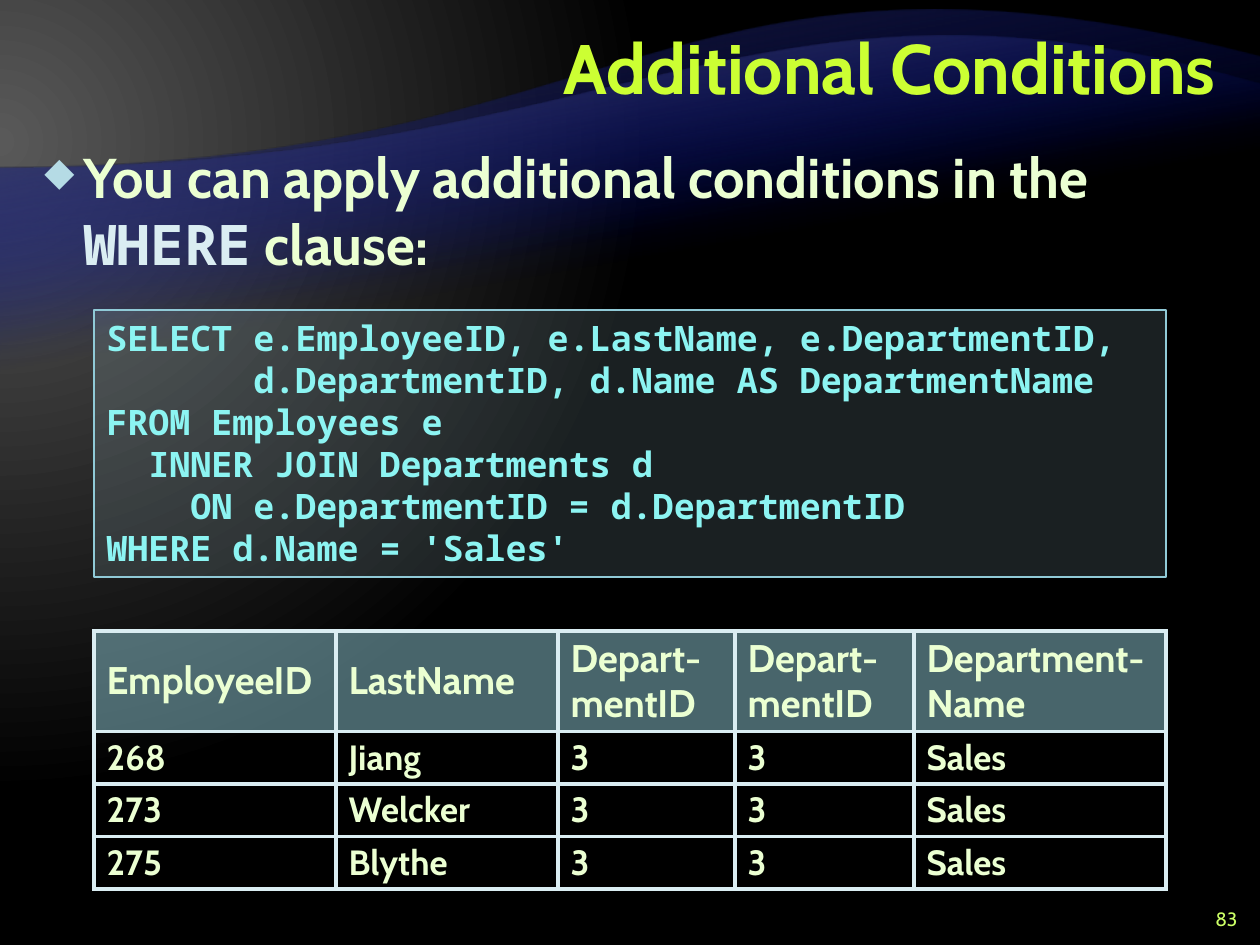
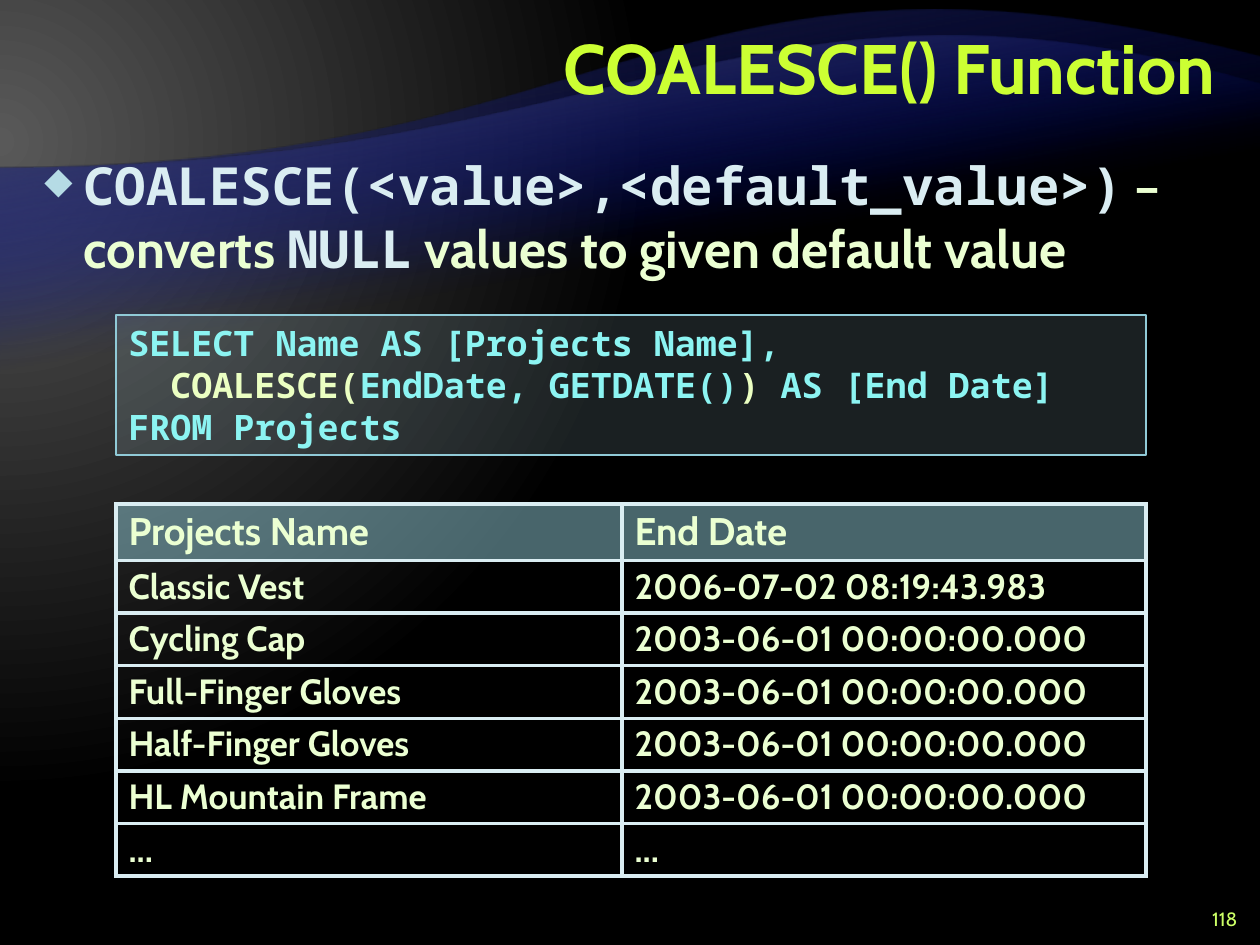
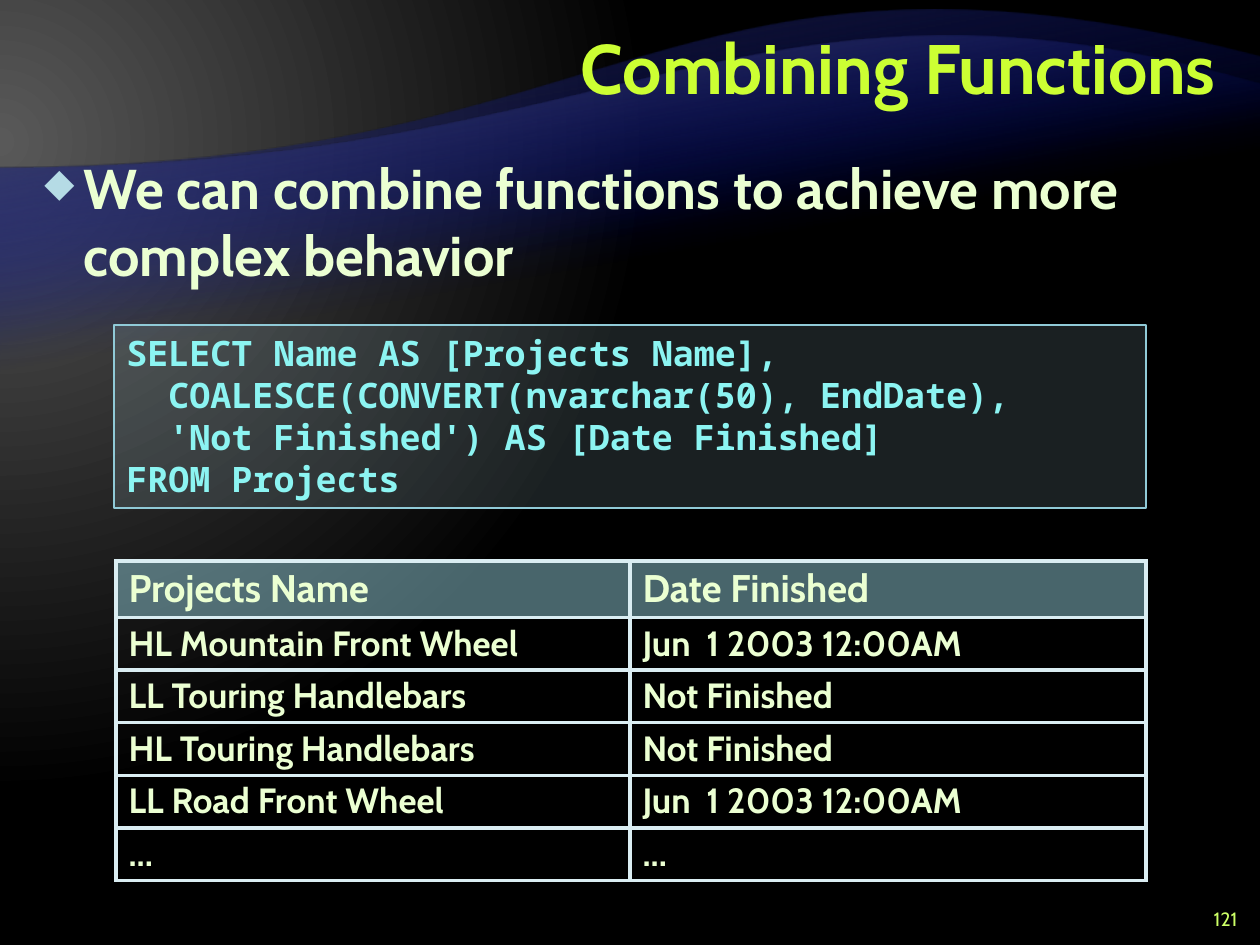
from dataclasses import dataclass
from lxml import etree
from pptx import Presentation
from pptx.dml.color import RGBColor as RGB
from pptx.enum.shapes import MSO_SHAPE as SHAPE
from pptx.enum.text import MSO_ANCHOR as ANCHOR, MSO_AUTO_SIZE as AUTO, PP_ALIGN as ALIGN
from pptx.oxml import parse_xml
from pptx.oxml.ns import nsdecls, qn
from pptx.util import Inches, Pt

PX = 914400 // 126  # EMU per pixel
CHAR = 21           # width of one code character, in pixels


@dataclass(frozen=True)
class Theme:
    # text styles: font and colour
    title: tuple = ("Cabin", "CCFF33")
    number: tuple = ("Cabin", "CCFF66")
    prose: tuple = ("Cabin", "EBFFD2")
    term: tuple = ("Noto Sans Mono", "DAEDF2")
    code: tuple = ("Noto Sans Mono", "8CF4F2")
    call: tuple = ("Noto Sans Mono", "EBFFC2")
    # type sizes
    title_pt: int = 40
    head_pt: int = 22
    text_pt: int = 20
    number_pt: int = 11
    # colours of surfaces and lines
    bullet: str = "B5DBE5"
    panel: str = "B5DBE5"
    edge: str = "90CAD7"
    head: str = "90CAD7"
    grid: str = "DAEDF2"
    glow: str = "595959"
    night: str = "000000"
    blue: str = "000D9E"
    dark: str = "262626"


T = Theme()


def write(p, runs, *, size, style=T.prose, bold=True, align=ALIGN.LEFT, spacing=None):
    """Fill a paragraph with plain text or with (style, text) pairs."""
    p.alignment = align
    p.line_spacing = spacing
    for (font, color), text in [(style, runs)] if isinstance(runs, str) else runs:
        r = p.add_run()
        r.text = text
        r.font.name, r.font.size, r.font.bold = font, Pt(size), bold
        r.font.color.rgb = RGB.from_string(color)


def set_gradient(props, stops, shade):
    """Give the gradient fill in props its (position, colour, alpha) stops."""
    fill = props.find(qn("a:gradFill"))
    fill.clear()
    fill.set("rotWithShape", "1")
    gs = "".join(
        f'<a:gs pos="{pos * 1000}"><a:srgbClr val="{color}">'
        f'<a:alpha val="{alpha * 1000}"/></a:srgbClr></a:gs>'
        for pos, color, alpha in stops)
    fill.append(parse_xml(f'<a:gsLst {nsdecls("a")}>{gs}</a:gsLst>'))
    fill.append(parse_xml(shade))


LINEAR = f'<a:lin {nsdecls("a")} ang="4800000" scaled="0"/>'
CIRCLE = (f'<a:path {nsdecls("a")} path="circle">'
          '<a:fillToRect l="20000" t="30000" r="135000" b="100000"/></a:path>')

# Waves: bottom edge, control points of the crest, colour at the crest
WAVES = [
    (823, [(0, 168), (630, 168), (673, -95), (1260, 57)], T.dark),
    (702, [(0, 168), (630, 168), (753, -62), (1260, 84)], T.glow),
]

# Slide contents; a code line is (indent in characters, text or runs)
SLIDES = [
    dict(
        title="Additional Conditions", number="83", body_top=136, body_pt=32,
        body=[(T.prose, "You can apply additional conditions in the "),
              (T.term, "WHERE"), (T.prose, " clause:")],
        code_box=(94, 310, 1072, 267),
        code=[(0, "SELECT e.EmployeeID, e.LastName, e.DepartmentID,"),
              (7, "d.DepartmentID, d.Name AS DepartmentName"),
              (0, "FROM Employees e"),
              (2, "INNER JOIN Departments d"),
              (4, "ON e.DepartmentID = d.DepartmentID"),
              (0, "WHERE d.Name = 'Sales'")],
        table_at=(94, 631), cols=[242, 222, 177, 179, 252], head_height=100,
        rows=[("EmployeeID", "LastName", "Depart-mentID", "Depart-mentID", "Department-Name"),
              ("268", "Jiang", "3", "3", "Sales"),
              ("273", "Welcker", "3", "3", "Sales"),
              ("275", "Blythe", "3", "3", "Sales")]),
    dict(
        title="COALESCE() Function", number="118", body_top=147, body_pt=30,
        body=[(T.term, "COALESCE(<value>,<default_value>)"),
              (T.prose, " – converts "), (T.term, "NULL"),
              (T.prose, " values to given default value")],
        code_box=(116, 315, 1030, 140),
        code=[(0, "SELECT Name AS [Projects Name],"),
              (2, [(T.call, "COALESCE("), (T.code, "EndDate, GETDATE()"),
                   (T.call, ")"), (T.code, " AS [End Date]")]),
              (0, "FROM Projects")],
        table_at=(116, 504), cols=[506, 524], head_height=56,
        rows=[("Projects Name", "End Date"),
              ("Classic Vest", "2006-07-02 08:19:43.983"),
              ("Cycling Cap", "2003-06-01 00:00:00.000"),
              ("Full-Finger Gloves", "2003-06-01 00:00:00.000"),
              ("Half-Finger Gloves", "2003-06-01 00:00:00.000"),
              ("HL Mountain Frame", "2003-06-01 00:00:00.000"),
              ("...", "...")]),
    dict(
        title="Combining Functions", number="121", body_top=147, body_pt=32,
        body="We can combine functions to achieve more complex behavior",
        code_box=(114, 325, 1032, 183),
        code=[(0, "SELECT Name AS [Projects Name],"),
              (2, "COALESCE(CONVERT(nvarchar(50), EndDate),"),
              (2, "'Not Finished') AS [Date Finished]"),
              (0, "FROM Projects")],
        table_at=(116, 561), cols=[514, 516], head_height=56,
        rows=[("Projects Name", "Date Finished"),
              ("HL Mountain Front Wheel", "Jun  1 2003 12:00AM"),
              ("LL Touring Handlebars", "Not Finished"),
              ("HL Touring Handlebars", "Not Finished"),
              ("LL Road Front Wheel", "Jun  1 2003 12:00AM"),
              ("...", "...")]),
]

prs = Presentation()
prs.slide_width, prs.slide_height = Inches(10), Inches(7.5)

# Shared background
master = prs.slide_master
master.background.fill.gradient()
set_gradient(next(master.element.iter(qn("p:bgPr"))),
             [(0, T.glow, 100), (83, T.night, 100), (100, T.night, 100)], CIRCLE)

for data in SLIDES:
    slide = prs.slides.add_slide(prs.slide_layouts[6])
    shapes = slide.shapes

    # Waves: drawn upside down, then turned so that the gradient rises
    for bottom, (a, b, c, d), crest in WAVES:
        pts = [(1260, bottom), (0, bottom)]
        for i in range(41):
            t = i / 40
            pts.append(tuple(
                a[k] * (1 - t) ** 3 + 3 * b[k] * t * (1 - t) ** 2
                + 3 * c[k] * t ** 2 * (1 - t) + d[k] * t ** 3 for k in (0, 1)))
        turn = bottom + min(y for x, y in pts)
        pts = [((1260 - x) * PX, (turn - y) * PX) for x, y in pts]
        fb = shapes.build_freeform(*pts[0])
        fb.add_line_segments(pts[1:], close=True)
        sp = fb.convert_to_shape()
        sp.rotation = 180
        sp.shadow.inherit = False
        sp.line.fill.background()
        sp.fill.gradient()
        set_gradient(sp.element.spPr, [(65, T.blue, 0), (100, crest, 100)], LINEAR)

    # Title, body and slide number
    top = data["body_top"]
    frames = []
    for box, anchor in [((252, 10, 976, 126), ANCHOR.MIDDLE),
                        ((32, top, 1196, 924 - top), ANCHOR.TOP),
                        ((1187, 903, 63, 32), ANCHOR.MIDDLE)]:
        tf = shapes.add_textbox(*(v * PX for v in box)).text_frame
        tf.word_wrap = True
        tf.vertical_anchor = anchor
        frames.append(tf.paragraphs[0])
    title, body, number = frames
    write(title, data["title"], size=T.title_pt, style=T.title,
          align=ALIGN.RIGHT, spacing=Pt(40))
    write(number, data["number"], size=T.number_pt, style=T.number,
          bold=False, align=ALIGN.RIGHT)
    write(body, data["body"], size=data["body_pt"])
    body.space_before = body.space_after = Pt(6)
    pPr = body._p.get_or_add_pPr()
    pPr.set("marL", str(39 * PX))
    pPr.set("indent", str(-39 * PX))
    for xml in (f'<a:buClr {nsdecls("a")}><a:srgbClr val="{T.bullet}"/></a:buClr>',
                f'<a:buSzPct {nsdecls("a")} val="70000"/>',
                f'<a:buChar {nsdecls("a")} char="◆"/>'):
        pPr.append(parse_xml(xml))

    # Code panel
    sp = shapes.add_shape(SHAPE.RECTANGLE, *(v * PX for v in data["code_box"]))
    sp.shadow.inherit = False
    sp.fill.solid()
    sp.fill.fore_color.rgb = RGB.from_string(T.panel)
    tint = sp.element.spPr.find(qn("a:solidFill"))[0]
    etree.SubElement(tint, qn("a:alpha")).set("val", "15000")
    sp.line.color.rgb = RGB.from_string(T.edge)
    sp.line.width = Pt(1)
    tf = sp.text_frame
    tf.word_wrap = True
    tf.auto_size = AUTO.SHAPE_TO_FIT_TEXT
    tf.vertical_anchor = ANCHOR.TOP
    for i, (indent, line) in enumerate(data["code"]):
        p = tf.add_paragraph() if i else tf.paragraphs[0]
        write(p, line, size=T.text_pt, style=T.code)
        p._p.get_or_add_pPr().set("marL", str(indent * CHAR * PX))

    # Result table
    rows, cols = data["rows"], data["cols"]
    heights = [data["head_height"]] + [52] * (len(rows) - 1)
    left, top = data["table_at"]
    tbl = shapes.add_table(len(rows), len(cols), left * PX, top * PX,
                           sum(cols) * PX, sum(heights) * PX).table
    for col, width in zip(tbl.columns, cols):
        col.width = width * PX
    for i, (row, height) in enumerate(zip(rows, heights)):
        tbl.rows[i].height = height * PX
        for j, text in enumerate(row):
            cell = tbl.cell(i, j)
            write(cell.text_frame.paragraphs[0], text, spacing=0.95,
                  size=T.text_pt if i else T.head_pt)
            tcPr = cell._tc.get_or_add_tcPr()
            if i:
                cell.fill.background()
            else:
                cell.vertical_anchor = ANCHOR.MIDDLE
                cell.fill.solid()
                cell.fill.fore_color.rgb = RGB.from_string(T.head)
                tint = tcPr.find(qn("a:solidFill"))[0]
                etree.SubElement(tint, qn("a:alpha")).set("val", "50000")
            for k, side in enumerate(("lnL", "lnR", "lnT", "lnB")):
                tcPr.insert(k, parse_xml(
                    f'<a:{side} {nsdecls("a")} w="{Pt(2.25)}"><a:solidFill>'
                    f'<a:srgbClr val="{T.grid}"/></a:solidFill></a:{side}>'))

prs.save("out.pptx")
